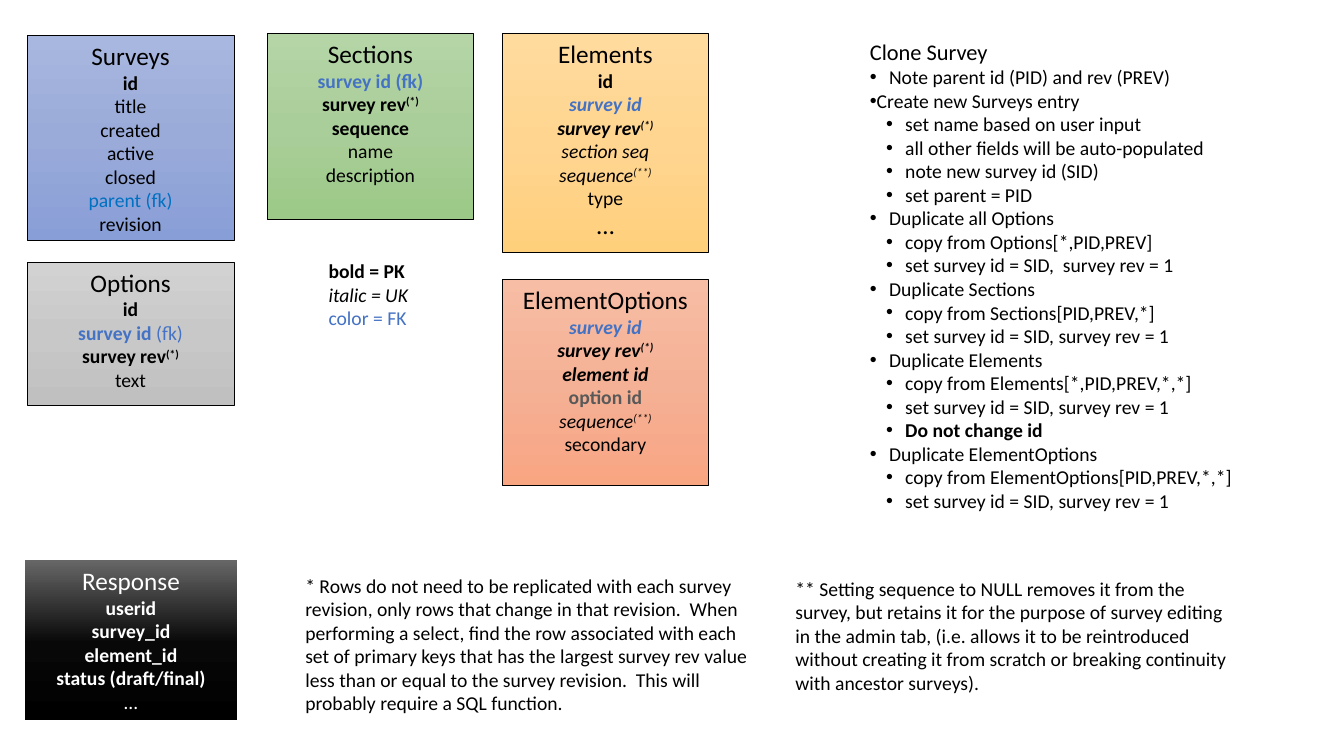
from copy import deepcopy
from dataclasses import dataclass

from lxml import etree
from pptx import Presentation
from pptx import util as u
from pptx.dml.color import RGBColor
from pptx.enum import shapes, text
from pptx.oxml.ns import qn


@dataclass(frozen=True)
class Theme:
    font: str = "Calibri"
    title: int = 18
    heading: int = 16
    body: int = 14
    ink: str = "000000"
    light: str = "FFFFFF"
    key: str = "4472C4"
    parent: str = "0070C0"
    muted: str = "595959"
    blue: tuple = ((0, "A8B7DF"), (0.5, "9AABD9"), (1, "889ED7"))
    green: tuple = ((0, "B5D5A7"), (0.5, "AACE9A"), (1, "9CC987"))
    yellow: tuple = ((0, "FFDB9E"), (0.5, "FFD590"), (1, "FFD07C"))
    orange: tuple = ((0, "F7BDA5"), (0.5, "F5B196"), (1, "F8A582"))
    gray: tuple = ((0, "D2D2D2"), (0.5, "C8C8C8"), (1, "C0C0C0"))
    black: tuple = ((0, "666666"), (0.52, "080808"), (1, "000000"))


@dataclass(frozen=True)
class Box:
    """A place on a grid of one-inch columns and rows."""
    left: float
    top: float
    width: float
    height: float

    def inner(self, left, top, width, height):
        return Box(self.left + left, self.top + top, width, height)

    def lengths(self):
        return [u.Inches(n) for n in (self.left, self.top, self.width, self.height)]


THEME = Theme()
SLIDE = Box(0, 0, 13.33, 7.5)

# Key styles: primary, unique and foreign
PK = {"bold": True}
UK = {"italic": True}
FK = {"color": THEME.key}
HANG = 0.19
SUB_INDENT = 0.35

CARD_WIDTH = 2.05
LEFT, MIDDLE, RIGHT = 0.02, 2.4, 4.73

# Each field is a list of (text, style) runs
REV = [("survey rev(*)", PK)]
UNIQUE_REV = [("survey rev(*)", PK | UK)]
UNIQUE_SURVEY = [("survey id", PK | UK | FK)]
SEQUENCE = [("sequence(**)", UK)]
ID = [("id", PK)]


def plain(*names, **style):
    return [[(name, style)] for name in names]


# Title, left, top, height, gradient, fields
TABLES = [
    ("Surveys", LEFT, 0.02, 2.04, THEME.blue,
     [ID, *plain("title", "created", "active", "closed"),
      [("parent (fk)", {"color": THEME.parent})], *plain("revision")]),
    ("Sections", MIDDLE, 0, 1.85, THEME.green,
     [[("survey id (fk)", PK | FK)], REV, [("sequence", PK)],
      *plain("name", "description")]),
    ("Elements", RIGHT, 0, 2.17, THEME.yellow,
     [ID, UNIQUE_SURVEY, UNIQUE_REV, [("section seq", UK)], SEQUENCE,
      *plain("type"), *plain("…", size=THEME.title)]),
    ("ElementOptions", RIGHT, 2.44, 2.05, THEME.orange,
     [UNIQUE_SURVEY, UNIQUE_REV, [("element id", PK | UK)],
      [("option id", PK | {"color": THEME.muted})], SEQUENCE, *plain("secondary")]),
    ("Options", LEFT, 2.27, 1.42, THEME.gray,
     [ID, [("survey id ", PK | FK), ("(fk)", FK)], REV, *plain("text")]),
]

RESPONSE_FIELDS = [
    *plain("userid", "survey_id", "element_id", "status (draft/final)",
           bold=True, color=THEME.light),
    *plain("…", color=THEME.light)]

LEGEND = [[("bold = PK", PK)], [("italic = UK", UK)], [("color = FK", FK)]]

NEW_REV = "set survey id = SID, survey rev = 1"
CLONE_STEPS = [
    ("Note parent id (PID) and rev (PREV)", HANG, []),
    ("Create new Surveys entry", 0,
     ["set name based on user input", "all other fields will be auto-populated",
      "note new survey id (SID)", "set parent = PID"]),
    ("Duplicate all Options", HANG,
     ["copy from Options[*,PID,PREV]", "set survey id = SID,  survey rev = 1"]),
    ("Duplicate Sections", HANG, ["copy from Sections[PID,PREV,*]", NEW_REV]),
    ("Duplicate Elements", HANG,
     ["copy from Elements[*,PID,PREV,*,*]", NEW_REV, "Do not change id"]),
    ("Duplicate ElementOptions", HANG,
     ["copy from ElementOptions[PID,PREV,*,*]", NEW_REV]),
]

REV_NOTE = (
    "* Rows do not need to be replicated with each survey revision, only rows that "
    "change in that revision.  When performing a select, find the row associated with "
    "each set of primary keys that has the largest survey rev value less than or equal "
    "to the survey revision.  This will probably require a SQL function.")
SEQUENCE_NOTE = (
    "** Setting sequence to NULL removes it from the survey, but retains it for the "
    "purpose of survey editing in the admin tab, (i.e. allows it to be reintroduced "
    "without creating it from scratch or breaking continuity with ancestor surveys).")


def write(paragraph, words, size=THEME.body, color=THEME.ink, bold=False,
          italic=False, raised=False):
    run = paragraph.add_run()
    run.text = words
    run.font.name, run.font.size = THEME.font, u.Pt(size)
    run.font.bold, run.font.italic = bold, italic
    run.font.color.rgb = RGBColor.from_string(color)
    if raised:
        run.font._element.set("baseline", "30000")


def write_lines(frame, lines, align=text.PP_ALIGN.LEFT):
    """Write one paragraph per line; footnote marks such as (*) are raised."""
    for number, line in enumerate(lines):
        paragraph = frame.add_paragraph() if number else frame.paragraphs[0]
        paragraph.alignment = align
        for words, style in line:
            name, mark, rest = words.partition("(*")
            write(paragraph, name, **style)
            if mark:
                write(paragraph, mark + rest, raised=True, **style)


def add_bullet(paragraph, indent, level):
    paragraph.level = level
    props = paragraph._p.get_or_add_pPr()
    props.set("marL", str(u.Inches(indent)))
    props.set("indent", str(-u.Inches(HANG)))
    etree.SubElement(props, qn("a:buFont")).set("typeface", "Arial")
    etree.SubElement(props, qn("a:buChar")).set("char", "•")


def shade(shape, stops):
    shape.fill.gradient()
    shape.fill.gradient_angle = 270
    stop_list = shape._element.spPr.find(".//" + qn("a:gsLst"))
    stop_list.insert(1, deepcopy(stop_list[0]))
    for stop, (position, color) in zip(shape.fill.gradient_stops, stops):
        stop.position = position
        stop.color.rgb = RGBColor.from_string(color)


def add_card(slide, box, title, stops, fields, color=THEME.ink, outlined=True):
    card = slide.shapes.add_shape(shapes.MSO_SHAPE.RECTANGLE, *box.lengths())
    card.shadow.inherit = False
    shade(card, stops)
    if outlined:
        card.line.color.rgb = RGBColor.from_string(THEME.ink)
        card.line.width = u.Pt(0.5)
    else:
        card.line.fill.background()
    card.text_frame.vertical_anchor = text.MSO_ANCHOR.TOP
    heading = plain(title, size=THEME.title, color=color)
    write_lines(card.text_frame, heading + fields, text.PP_ALIGN.CENTER)


def add_note(slide, box, lines, wrap=True):
    frame = slide.shapes.add_textbox(*box.lengths()).text_frame
    frame.word_wrap = wrap
    frame.auto_size = text.MSO_AUTO_SIZE.SHAPE_TO_FIT_TEXT
    write_lines(frame, lines)
    return frame


def add_schema(slide, box):
    for title, left, top, height, stops, fields in TABLES:
        add_card(slide, box.inner(left, top, CARD_WIDTH, height), title, stops, fields)
    add_note(slide, box.inner(2.91, 2.19, 0.99, 0.81), LEGEND, wrap=False)


def add_clone_steps(slide, box):
    bullets = []
    for step, indent, details in CLONE_STEPS:
        bullets.append((step, indent, 0))
        bullets += [(detail, SUB_INDENT, 1) for detail in details]
    lines = plain("Clone Survey", size=THEME.heading)
    lines += [[(words, {"bold": words.startswith("Do not")})] for words, *_ in bullets]
    frame = add_note(slide, box, lines)
    for paragraph, (_, indent, level) in zip(frame.paragraphs[1:], bullets):
        add_bullet(paragraph, indent, level)


def add_footer(slide, box):
    add_card(slide, box.inner(0, 0, 2.1, 1.58), "Response", THEME.black,
             RESPONSE_FIELDS, color=THEME.light, outlined=False)
    add_note(slide, box.inner(2.68, 0.08, 4.6, 1.51), plain(REV_NOTE))
    add_note(slide, box.inner(7.54, 0.11, 4.6, 1.28), plain(SEQUENCE_NOTE))


def main():
    deck = Presentation()
    deck.slide_width, deck.slide_height = SLIDE.lengths()[2:]
    slide = deck.slides.add_slide(deck.slide_layouts[6])
    add_schema(slide, SLIDE.inner(0.25, 0.33, 6.78, 4.49))
    add_clone_steps(slide, SLIDE.inner(8.53, 0.33, 3.86, 5.32))
    add_footer(slide, SLIDE.inner(0.25, 5.56, 12.14, 1.59))
    deck.save("out.pptx")


if __name__ == "__main__":
    main()
